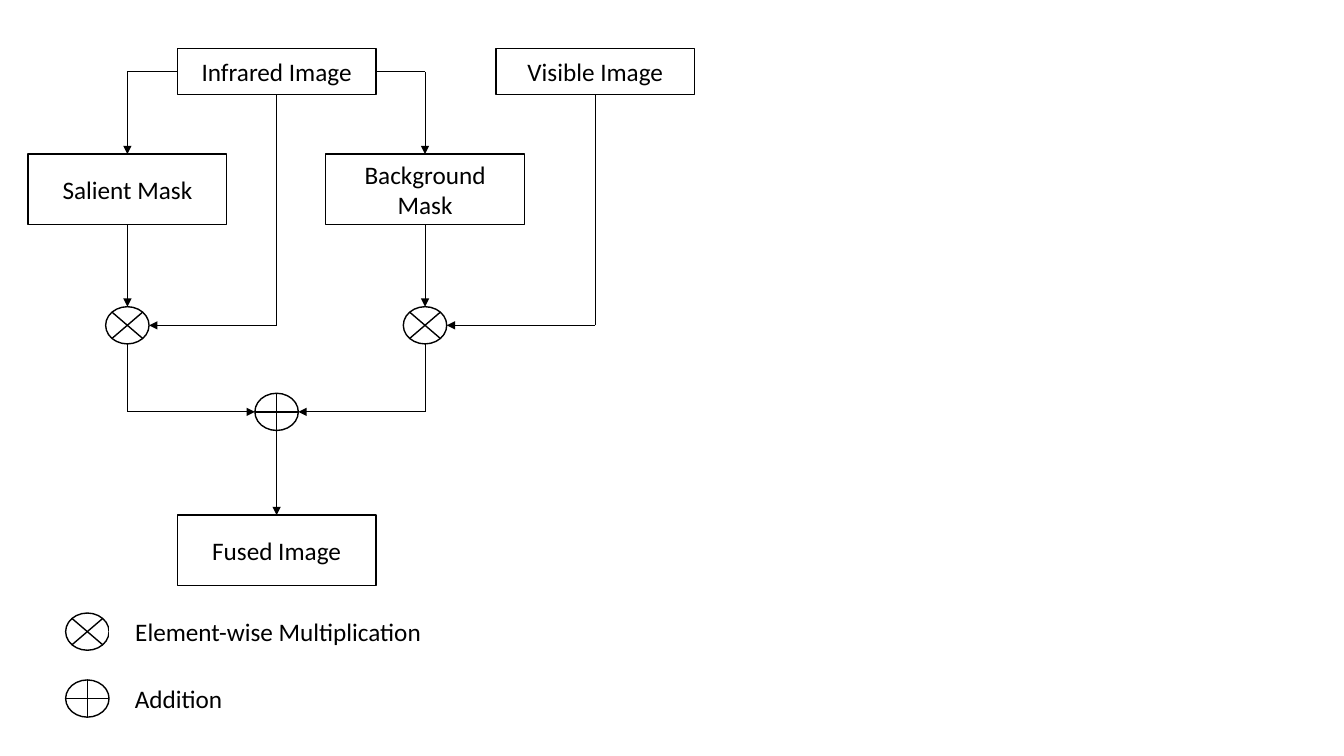
from pptx import Presentation
from pptx.dml.color import RGBColor
from pptx.enum.shapes import MSO_CONNECTOR, MSO_SHAPE
from pptx.enum.text import MSO_ANCHOR, PP_ALIGN
from pptx.oxml.ns import qn
from pptx.util import Pt
from lxml import etree

COLORS = {"ink": "000000", "paper": "FFFFFF"}
TIMES, PLUS = MSO_SHAPE.FLOWCHART_SUMMING_JUNCTION, MSO_SHAPE.FLOWCHART_OR
BOX_W, SYM_W, SYM_H = 142, 31, 26.6
SALIENT_X, INFRARED_X, BACK_X, VISIBLE_X = 91, 197.6, 303.6, 425.2
INPUT_Y, MASK_Y, TIMES_Y, PLUS_Y, FUSED_Y = 51.1, 135.2, 232.4, 294.2, 393.1

prs = Presentation()
prs.slide_width, prs.slide_height = Pt(960), Pt(540)
s = prs.slides.add_slide(prs.slide_layouts[6])


def add_node(kind, x, y, w, h, text="", line="ink"):
    sp = s.shapes.add_shape(kind, Pt(x - w / 2), Pt(y - h / 2), Pt(w), Pt(h))
    sp.shadow.inherit = False
    sp.fill.solid()
    sp.fill.fore_color.rgb = RGBColor.from_string(COLORS["paper"])
    sp.line.color.rgb = RGBColor.from_string(COLORS[line])
    sp.line.width = Pt(1)
    if text:
        tf = sp.text_frame
        tf.text = text
        tf.word_wrap = True
        tf.vertical_anchor = MSO_ANCHOR.MIDDLE
        p = tf.paragraphs[0]
        p.alignment = PP_ALIGN.CENTER
        font = p.runs[0].font
        font.name, font.size = "Calibri", Pt(18)
        font.color.rgb = RGBColor.from_string(COLORS["ink"])
    return sp


def add_line(x1, y1, x2, y2, arrow=False, begin=None, end=None):
    c = s.shapes.add_connector(MSO_CONNECTOR.STRAIGHT, Pt(x1), Pt(y1), Pt(x2), Pt(y2))
    c.line.color.rgb = RGBColor.from_string(COLORS["ink"])
    c.line.width = Pt(0.5)
    if arrow:
        etree.SubElement(c.line._get_or_add_ln(), qn("a:tailEnd"), type="triangle")
    etree.SubElement(c._element.spPr, qn("a:effectLst"))
    if begin:
        c.begin_connect(*begin)
    if end:
        c.end_connect(*end)


boxes = {}
for text, x, y, h in [
    ("Infrared Image", INFRARED_X, INPUT_Y, 33.2),
    ("Visible Image", VISIBLE_X, INPUT_Y, 33.2),
    ("Background Mask", BACK_X, MASK_Y, 50.2),
    ("Salient Mask", SALIENT_X, MASK_Y, 50.2),
    ("Fused Image", INFRARED_X, FUSED_Y, 50.2),
]:
    boxes[text] = add_node(MSO_SHAPE.RECTANGLE, x, y, BOX_W, h, text)

infrared, visible = boxes["Infrared Image"], boxes["Visible Image"]
for mask, x, site, side in [
    (boxes["Salient Mask"], SALIENT_X, 1, -1),
    (boxes["Background Mask"], BACK_X, 3, 1),
]:
    add_node(TIMES, x, TIMES_Y, SYM_W, SYM_H)
    add_line(INFRARED_X + side * BOX_W / 2, INPUT_Y, x, INPUT_Y, begin=(infrared, site))
    add_line(x, INPUT_Y, x, MASK_Y - 25.1, True, end=(mask, 0))
    add_line(x, MASK_Y + 25.1, x, TIMES_Y - SYM_H / 2, True, begin=(mask, 2))
    add_line(x, TIMES_Y + SYM_H / 2, x, PLUS_Y)
    add_line(x, PLUS_Y, INFRARED_X + side * SYM_W / 2, PLUS_Y, True)

for source, x, target_x in [(infrared, INFRARED_X, SALIENT_X), (visible, VISIBLE_X, BACK_X)]:
    add_line(x, INPUT_Y + 16.6, x, TIMES_Y, begin=(source, 2))
    add_line(x, TIMES_Y, target_x + SYM_W / 2, TIMES_Y, True)

add_node(PLUS, INFRARED_X, PLUS_Y, SYM_W, SYM_H)
add_line(INFRARED_X, PLUS_Y + SYM_H / 2, INFRARED_X, FUSED_Y - 25.1, True,
         end=(boxes["Fused Image"], 0))

for symbol, y, text, x, w in [
    (TIMES, 451.2, "Element-wise Multiplication", 198.7, 240.5),
    (PLUS, 499, "Addition", 127.5, 92.2),
]:
    add_node(symbol, 62.4, y, SYM_W, SYM_H)
    add_node(MSO_SHAPE.RECTANGLE, x, y, w, 33.2, text, line="paper")

prs.save("out.pptx")
